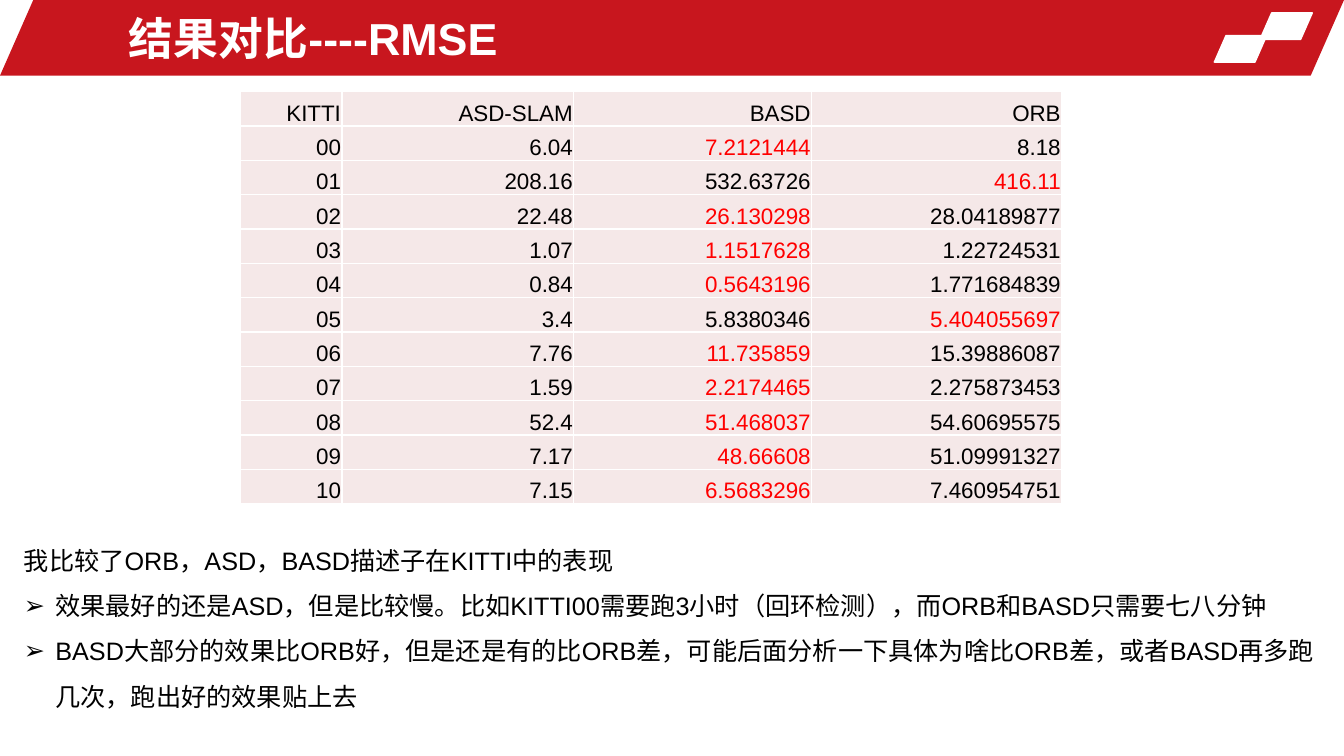
from dataclasses import dataclass

from lxml.etree import SubElement
from pptx import Presentation
from pptx.dml.color import RGBColor as Rgb
from pptx.enum.shapes import MSO_SHAPE as Preset
from pptx.enum.text import MSO_ANCHOR as Anchor, PP_ALIGN as Align
from pptx.oxml.ns import qn
from pptx.util import Pt


@dataclass(frozen=True)
class Theme:
    font: str = "Arial"
    red: str = "C8161E"
    white: str = "FFFFFF"
    black: str = "000000"
    highlight: str = "FF0000"
    cell: str = "F5E8E8"
    title_size: float = 32
    table_size: float = 16
    body_size: float = 18


HEADINGS = ("KITTI", "ASD-SLAM", "BASD", "ORB")
RMSE = (
    ("00", "6.04", "7.2121444", "8.18"),
    ("01", "208.16", "532.63726", "416.11"),
    ("02", "22.48", "26.130298", "28.04189877"),
    ("03", "1.07", "1.1517628", "1.22724531"),
    ("04", "0.84", "0.5643196", "1.771684839"),
    ("05", "3.4", "5.8380346", "5.404055697"),
    ("06", "7.76", "11.735859", "15.39886087"),
    ("07", "1.59", "2.2174465", "2.275873453"),
    ("08", "52.4", "51.468037", "54.60695575"),
    ("09", "7.17", "48.66608", "51.09991327"),
    ("10", "7.15", "6.5683296", "7.460954751"),
)
COLUMN_WIDTHS = (72.7, 165.6, 169.9, 178.6)
ROW_HEIGHT = 24.54

INTRO = "我比较了ORB，ASD，BASD描述子在KITTI中的表现"
FINDINGS = (
    "效果最好的还是ASD，但是比较慢。比如KITTI00需要跑3小时（回环检测），而ORB和BASD只需要七八分钟",
    "BASD大部分的效果比ORB好，但是还是有的比ORB差，可能后面分析一下具体为啥比ORB差，"
    "或者BASD再多跑几次，跑出好的效果贴上去",
)


class SlideBuilder:
    def __init__(self, slide, theme):
        self.slide = slide
        self.theme = theme

    def style(self, paragraph, size, color, bold=False):
        for run in paragraph.runs:
            run.font.name = self.theme.font
            run.font.size = Pt(size)
            run.font.bold = bold
            run.font.color.rgb = Rgb.from_string(color)

    def parallelogram(self, left, top, width, height, color, outlined=False):
        shape = self.slide.shapes.add_shape(
            Preset.PARALLELOGRAM, Pt(left), Pt(top), Pt(width), Pt(height))
        shape.adjustments[0] = 0.44
        shape.shadow.inherit = False
        shape.fill.solid()
        shape.fill.fore_color.rgb = Rgb.from_string(color)
        if outlined:
            shape.line.color.rgb = Rgb.from_string(color)
            shape.line.width = Pt(1)
        else:
            shape.line.fill.background()

    def text_frame(self, left, top, width, height):
        frame = self.slide.shapes.add_textbox(
            Pt(left), Pt(top), Pt(width), Pt(height)).text_frame
        frame.word_wrap = True
        return frame

    def title(self, text, *box):
        frame = self.text_frame(*box)
        frame.vertical_anchor = Anchor.MIDDLE
        frame.text = text
        heading = frame.paragraphs[0]
        heading.space_before = Pt(10)
        self.style(heading, self.theme.title_size, self.theme.white, bold=True)

    def commentary(self, intro, findings, *box):
        frame = self.text_frame(*box)
        frame.text = "\n".join((intro, *findings))
        for index, paragraph in enumerate(frame.paragraphs):
            paragraph.line_spacing = 1.5
            self.style(paragraph, self.theme.body_size, self.theme.black)
            if index:
                self.bullet(paragraph)

    def bullet(self, paragraph, indent=22.5):
        properties = paragraph._p.get_or_add_pPr()
        properties.set("marL", str(Pt(indent)))
        properties.set("indent", str(-Pt(indent)))
        SubElement(properties, qn("a:buFont"), typeface=self.theme.font)
        SubElement(properties, qn("a:buChar"), char="➢")

    def cell(self, cell, text, color):
        cell.margin_left = cell.margin_right = cell.margin_top = Pt(0.75)
        cell.margin_bottom = 0
        cell.vertical_anchor = Anchor.BOTTOM
        self.borders(cell)
        cell.fill.solid()
        cell.fill.fore_color.rgb = Rgb.from_string(self.theme.cell)
        cell.text = text
        entry = cell.text_frame.paragraphs[0]
        entry.alignment = Align.RIGHT
        self.style(entry, self.theme.table_size, color)

    def borders(self, cell):
        properties = cell._tc.get_or_add_tcPr()
        for side in ("lnL", "lnR", "lnT", "lnB"):
            line = SubElement(properties, qn(f"a:{side}"), w=str(Pt(1)))
            fill = SubElement(line, qn("a:solidFill"))
            SubElement(fill, qn("a:srgbClr"), val=self.theme.white)

    def rmse_table(self, left, top):
        """Draw the results, with the lower of BASD and ORB highlighted."""
        row_count = len(RMSE) + 1
        table = self.slide.shapes.add_table(
            row_count, len(HEADINGS), Pt(left), Pt(top),
            Pt(sum(COLUMN_WIDTHS)), Pt(ROW_HEIGHT * row_count)).table
        table.first_row = table.horz_banding = False
        for column, width in zip(table.columns, COLUMN_WIDTHS):
            column.width = Pt(width)
        for row, values in zip(table.rows, (HEADINGS, *RMSE)):
            row.height = Pt(ROW_HEIGHT)
            better = None if values is HEADINGS else min(values[2:], key=float)
            for index, (cell, value) in enumerate(zip(row.cells, values)):
                best = index >= 2 and value == better
                self.cell(cell, value,
                          self.theme.highlight if best else self.theme.black)


def main():
    deck = Presentation()
    deck.slide_width, deck.slide_height = Pt(960), Pt(540)
    theme = Theme()
    builder = SlideBuilder(deck.slides.add_slide(deck.slide_layouts[6]), theme)

    builder.parallelogram(0, 0, 960, 54, theme.red)
    for left, top in ((900, 9.2), (867.4, 25.4)):
        builder.parallelogram(left, top, 37.4, 19, theme.white, outlined=True)
    builder.title("结果对比----RMSE", 85, 3.6, 830, 46.8)
    builder.rmse_table(171.6, 65.5)
    builder.commentary(INTRO, FINDINGS, 10, 375, 950, 138.2)

    deck.save("out.pptx")


if __name__ == "__main__":
    main()
